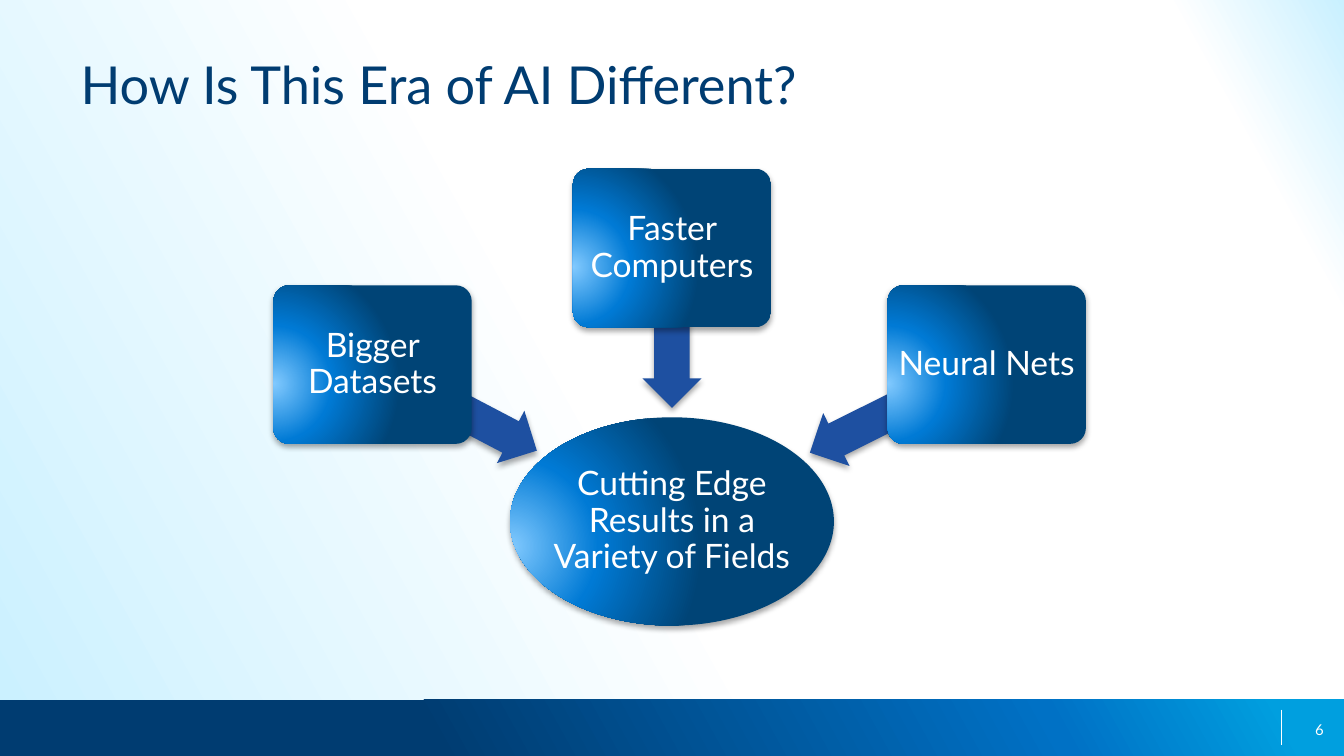
from dataclasses import dataclass
from math import atan2, cos, degrees, sin

from lxml import etree
from pptx import Presentation
from pptx.dml.color import RGBColor
from pptx.enum.shapes import MSO_CONNECTOR, MSO_SHAPE
from pptx.enum.text import MSO_ANCHOR, MSO_AUTO_SIZE, PP_ALIGN
from pptx.oxml.ns import qn
from pptx.util import Inches, Pt

ELLIPSE = MSO_SHAPE.OVAL
ROUNDED = MSO_SHAPE.ROUNDED_RECTANGLE
RECTANGLE = MSO_SHAPE.RECTANGLE
LEFT_ARROW = MSO_SHAPE.LEFT_ARROW
STRAIGHT = MSO_CONNECTOR.STRAIGHT
TOP, MIDDLE = MSO_ANCHOR.TOP, MSO_ANCHOR.MIDDLE
LEFT, CENTER, RIGHT = PP_ALIGN.LEFT, PP_ALIGN.CENTER, PP_ALIGN.RIGHT
NO_AUTOFIT = MSO_AUTO_SIZE.NONE

FONT = "Lato"
COLORS = {
    "navy": "003C71", "blue": "0071C5", "cyan": "009FDF", "ice": "C9F0FF",
    "white": "FFFFFF", "black": "000000", "arrow": "1E50A1",
    "glow": "82CAFF", "azure": "007AD5", "deep": "004476",
}
BACKGROUND_STOPS = [(0, "ice"), (45, "white"), (90, "white"), (100, "ice")]
FOOTER_STOPS = [(32, "navy"), (78, "blue"), (95, "cyan")]
NODE_STOPS = [(0, "glow"), (46, "azure"), (100, "deep")]
GRADIENT_ANGLE = 331
GLOW_CENTER = {"l": -20, "t": 62, "r": 120, "b": 38}

# The slide is a 16:9 grid of square cells, 100 columns by 56.25 rows.
COLUMNS, ROWS = 100, 56.25
CELL = Inches(10) / COLUMNS
FOOTER_ROW = 52.05
ARROW_WIDTH = 4.4


@dataclass(frozen=True)
class Node:
    """A labelled shape placed by its centre, in grid cells."""
    text: str
    column: float
    row: float
    width: float = 14.75
    height: float = 11.8
    label_width: float = 14.1
    label_height: float = 6.9
    inset: float = 0.4
    arrow_length: float = 0


HUB = Node("Cutting Edge Results in a Variety of Fields", 50, 38.8,
           24.1, 15.5, 20.6, 10, 0.1)
CAUSES = [
    Node("Bigger Datasets", 27.72, 27.13, arrow_length=13.8),
    Node("Faster Computers", 50, 18.45, arrow_length=11.9),
    Node("Neural Nets", 73.42, 27.13, arrow_length=14.7),
]


def cells(*values: float) -> list[int]:
    return [round(value * CELL) for value in values]


def centered(column: float, row: float, width: float, height: float) -> list[int]:
    return cells(column - width / 2, row - height / 2, width, height)


def rgb(name: str) -> RGBColor:
    return RGBColor.from_string(COLORS[name])


def set_gradient(properties, stops: list, radial: bool = False) -> None:
    """Swap the solid fill of a properties element for a gradient."""
    gradient = etree.Element(qn("a:gradFill"), rotWithShape="1")
    stop_list = etree.SubElement(gradient, qn("a:gsLst"))
    for position, name in stops:
        stop = etree.SubElement(stop_list, qn("a:gs"), pos=str(position * 1000))
        etree.SubElement(stop, qn("a:srgbClr"), val=COLORS[name])
    if radial:
        circle = etree.SubElement(gradient, qn("a:path"), path="circle")
        edges = {side: str(share * 1000) for side, share in GLOW_CENTER.items()}
        etree.SubElement(circle, qn("a:fillToRect"), **edges)
    else:
        etree.SubElement(gradient, qn("a:lin"), scaled="0",
                         ang=str(GRADIENT_ANGLE * 60000))
    properties.replace(properties.find(qn("a:solidFill")), gradient)


def add_shadow(shape) -> None:
    effects = shape.element.spPr.find(qn("a:effectLst"))
    shadow = etree.SubElement(effects, qn("a:outerShdw"), blurRad=str(Pt(3)),
                              dist=str(Pt(1.8)), dir=str(90 * 60000), rotWithShape="0")
    color = etree.SubElement(shadow, qn("a:srgbClr"), val=COLORS["black"])
    etree.SubElement(color, qn("a:alpha"), val="35000")


def add_filled(slide, kind, box: list[int], color: str):
    shape = slide.shapes.add_shape(kind, *box)
    shape.shadow.inherit = False
    shape.fill.solid()
    shape.fill.fore_color.rgb = rgb(color)
    shape.line.fill.background()
    return shape


def write(shape, text: str, size: float, color: str, align, anchor=MIDDLE,
          inset: float = 0, wrap: bool = True, spacing: float = 1) -> None:
    frame = shape.text_frame
    frame.word_wrap = wrap
    frame.auto_size = NO_AUTOFIT
    frame.vertical_anchor = anchor
    margin = cells(inset)[0]
    frame.margin_left = frame.margin_right = margin
    frame.margin_top = frame.margin_bottom = margin
    paragraph = frame.paragraphs[0]
    paragraph.alignment = align
    paragraph.line_spacing = spacing
    run = paragraph.add_run()
    run.text = text
    run.font.name = FONT
    run.font.size = Pt(size)
    run.font.color.rgb = rgb(color)


def add_node(slide, node: Node, kind) -> None:
    box = centered(node.column, node.row, node.width, node.height)
    shape = add_filled(slide, kind, box, "azure")
    if kind == ROUNDED:
        shape.adjustments[0] = 0.1
    set_gradient(shape.element.spPr, NODE_STOPS, radial=True)
    add_shadow(shape)
    label = slide.shapes.add_textbox(
        *centered(node.column, node.row, node.label_width, node.label_height))
    write(label, node.text, 18, "white", CENTER, inset=node.inset, spacing=0.9)


def add_arrow(slide, cause: Node, hub: Node) -> None:
    """Draw a block arrow from the centre of a cause towards the hub."""
    angle = atan2(cause.row - hub.row, cause.column - hub.column)
    half = cause.arrow_length / 2
    box = centered(cause.column - half * cos(angle), cause.row - half * sin(angle),
                   cause.arrow_length, ARROW_WIDTH)
    arrow = add_filled(slide, LEFT_ARROW, box, "arrow")
    arrow.adjustments[0], arrow.adjustments[1] = 0.6, 0.5
    arrow.rotation = degrees(angle) % 360
    add_shadow(arrow)


def add_footer(slide, number: str) -> None:
    bar = add_filled(slide, RECTANGLE,
                     cells(0, FOOTER_ROW, COLUMNS, ROWS - FOOTER_ROW), "navy")
    set_gradient(bar.element.spPr, FOOTER_STOPS)
    divider = slide.shapes.add_connector(STRAIGHT, *cells(95.35, 52.8, 95.35, 55.4))
    divider.line.color.rgb = rgb("white")
    divider.line.width = Pt(0.75)
    etree.SubElement(divider.element.spPr, qn("a:effectLst"))
    box = slide.shapes.add_textbox(*cells(97, 53.6, 1.5, 1.4))
    write(box, number, 8, "white", RIGHT, wrap=False)


def main() -> None:
    presentation = Presentation()
    presentation.slide_width, presentation.slide_height = cells(COLUMNS, ROWS)
    slide = presentation.slides.add_slide(presentation.slide_layouts[5])
    slide.background.fill.solid()
    set_gradient(slide.element.xpath(".//p:bgPr")[0], BACKGROUND_STOPS)

    add_footer(slide, "6")
    title = slide.shapes.title
    title.left, title.top, title.width, title.height = cells(5, 3.4, 90, 9.5)
    write(title, "How Is This Era of AI Different?", 28, "navy", LEFT, TOP)
    title.text_frame.margin_left = title.text_frame.margin_right = Inches(0.1)
    title.text_frame.margin_top = title.text_frame.margin_bottom = Inches(0.05)

    add_node(slide, HUB, ELLIPSE)
    for cause in CAUSES:
        add_arrow(slide, cause, HUB)
        add_node(slide, cause, ROUNDED)
    presentation.save("out.pptx")


if __name__ == "__main__":
    main()
